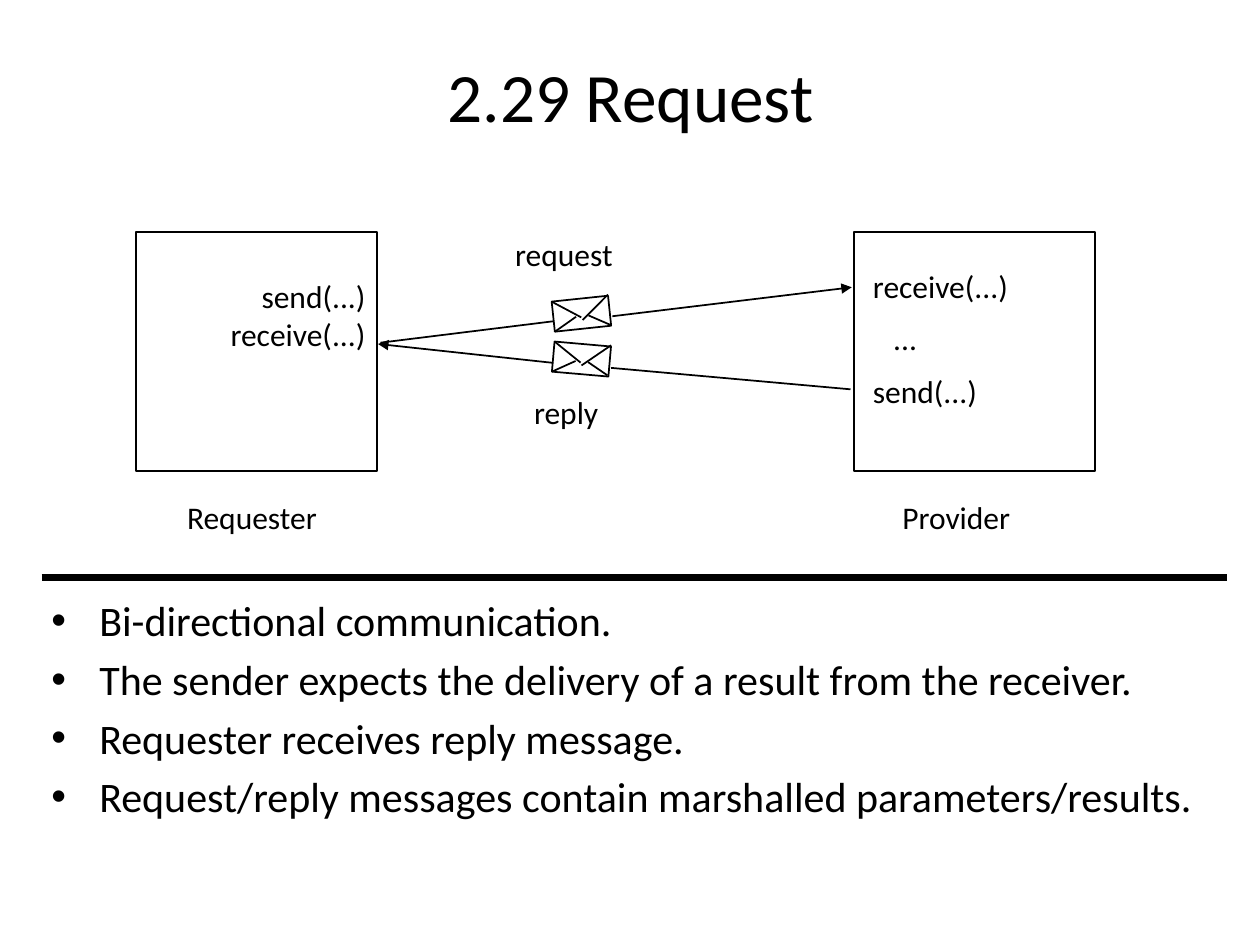
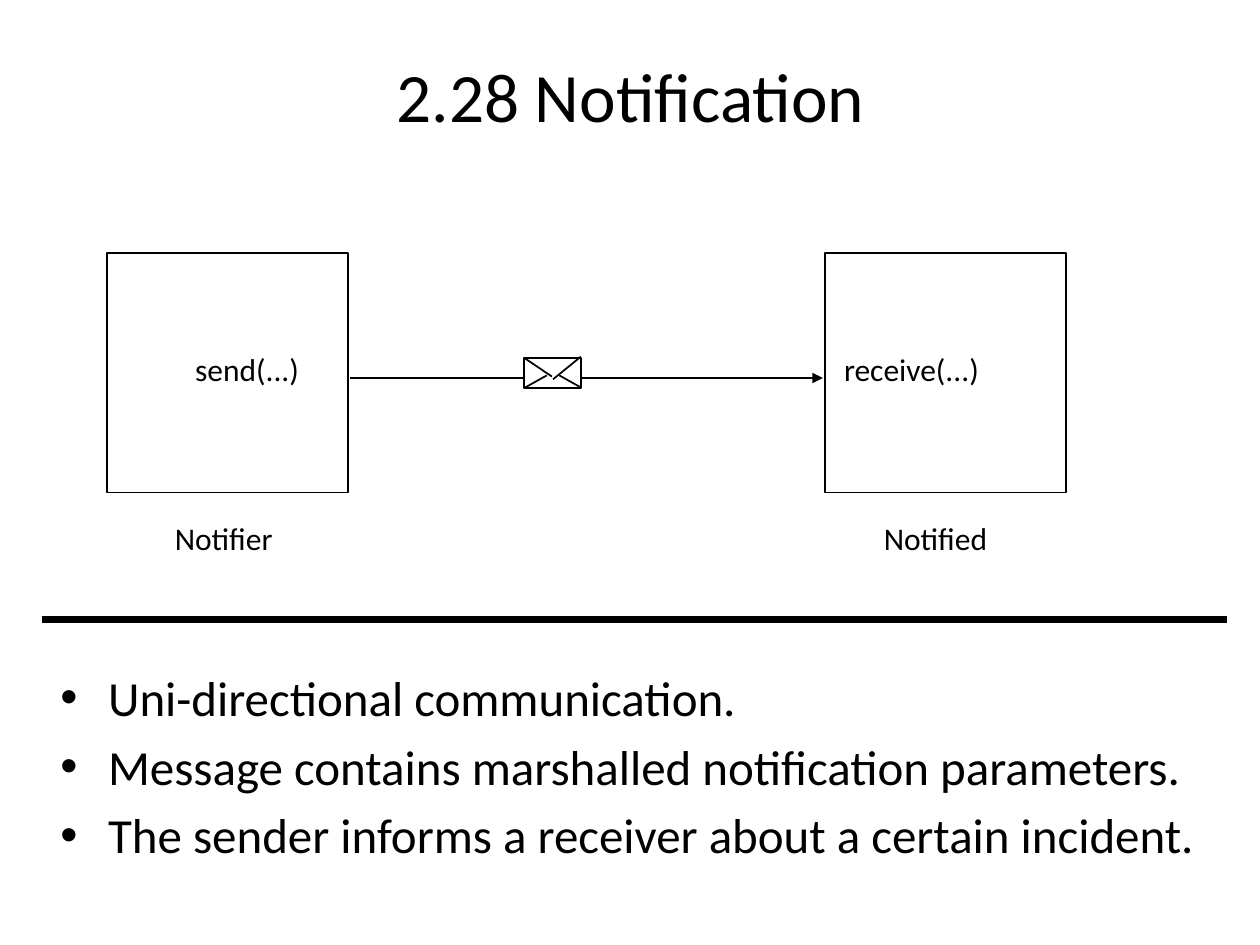
import dataclasses
import math

import lxml.etree
import pptx
import pptx.dml.color
import pptx.enum.shapes
import pptx.enum.text
import pptx.oxml.ns
import pptx.util

ALIGN = pptx.enum.text.PP_ALIGN
ANCHOR = pptx.enum.text.MSO_ANCHOR
AUTOSIZE = pptx.enum.text.MSO_AUTO_SIZE
COLUMNS, ROWS = 100, 75
CELL = pptx.util.Inches(0.1)
PEER_WIDTH, PEER_HEIGHT, PROVIDER_COLUMN = 19.1, 19, 57
LABEL_HEIGHT = 4
CAPTION_ROW = 20.6
ENVELOPE_WIDTH, ENVELOPE_HEIGHT = 4.5, 2.4
ENVELOPE_FOLDS = [
    ((0, 0), (0.49, 0.62)),
    ((0.51, 0.71), (1, -0.04)),
    ((0.4, 0.58), (0, 1)),
    ((0.62, 0.58), (0.98, 0.96)),
]


@dataclasses.dataclass(frozen=True)
class Theme:
    """Colours, font and sizes shared by the slides."""

    ink: pptx.dml.color.RGBColor = pptx.dml.color.RGBColor(0, 0, 0)
    font: str = "Calibri"
    title: float = 39.6
    label: float = 18
    thin: float = 1
    thick: float = 4


THEME = Theme()


@dataclasses.dataclass(frozen=True)
class Box:
    """A region of the slide, measured in grid columns and rows."""

    column: float
    row: float
    width: float
    height: float

    def point(self, column, row):
        """Return the slide position of a grid point inside the box."""
        return round((self.column + column) * CELL), round((self.row + row) * CELL)

    def inner(self, column, row, width, height):
        """Return a smaller box placed relative to this one."""
        return Box(self.column + column, self.row + row, width, height)

    def frame(self):
        """Return left, top, width and height for a shape."""
        return (*self.point(0, 0), round(self.width * CELL), round(self.height * CELL))


def apply_format(target, values):
    """Set each named attribute on the target."""
    for name, value in values.items():
        setattr(target, name, value)


def write(frame, lines, size, align, space=0):
    """Fill a text frame with one formatted paragraph per line and return them."""
    frame.text = "\n".join(lines)
    for paragraph in frame.paragraphs:
        apply_format(paragraph, {"alignment": align, "space_before": pptx.util.Pt(space)})
        for run in paragraph.runs:
            apply_format(run.font, {"name": THEME.font, "size": pptx.util.Pt(size)})
            run.font.color.rgb = THEME.ink
    return frame.paragraphs


def draw_line(slide, start, end, width=THEME.thin, arrow=False):
    """Draw a straight line between two slide positions."""
    line = slide.shapes.add_connector(
        pptx.enum.shapes.MSO_CONNECTOR.STRAIGHT, *start, *end
    )
    line.line.color.rgb = THEME.ink
    line.line.width = pptx.util.Pt(width)
    properties = line._element.spPr
    qn = pptx.oxml.ns.qn
    if arrow:
        lxml.etree.SubElement(
            properties.find(qn("a:ln")), qn("a:tailEnd"), type="triangle"
        )
    lxml.etree.SubElement(properties, qn("a:effectLst"))


def draw_rectangle(slide, box, angle=0):
    """Draw an unfilled outlined rectangle."""
    rectangle = slide.shapes.add_shape(
        pptx.enum.shapes.MSO_SHAPE.RECTANGLE, *box.frame()
    )
    rectangle.rotation = angle
    rectangle.shadow.inherit = False
    rectangle.fill.background()
    rectangle.line.color.rgb = THEME.ink
    rectangle.line.width = pptx.util.Pt(THEME.thin)


def draw_label(slide, box, lines, align=ALIGN.LEFT):
    """Place a small unwrapped label in a box."""
    frame = slide.shapes.add_textbox(*box.frame()).text_frame
    apply_format(frame, {"word_wrap": False, "auto_size": AUTOSIZE.SHAPE_TO_FIT_TEXT})
    write(frame, lines, THEME.label, align)


def draw_envelope(slide, diagram, centre, angle):
    """Draw an envelope turned about its centre."""
    width, height = ENVELOPE_WIDTH, ENVELOPE_HEIGHT
    column, row = centre
    body = diagram.inner(column - width / 2, row - height / 2, width, height)
    draw_rectangle(slide, body, angle)
    cosine, sine = math.cos(math.radians(angle)), math.sin(math.radians(angle))

    def turned(share):
        """Return the slide position of a point on the turned envelope."""
        across, down = (share[0] - 0.5) * width, (share[1] - 0.5) * height
        return diagram.point(
            column + across * cosine - down * sine,
            row + across * sine + down * cosine,
        )

    for start, end in ENVELOPE_FOLDS:
        draw_line(slide, turned(start), turned(end))


def draw_message(slide, diagram, message):
    """Draw an envelope with the line into it and the arrow out of it."""
    draw_envelope(slide, diagram, message["centre"], message["angle"])
    source, entry, leave, target = (diagram.point(*stop) for stop in message["route"])
    draw_line(slide, source, entry)
    draw_line(slide, leave, target, arrow=True)


def draw_diagram(slide, diagram, content):
    """Draw two peers with their captions, calls and messages."""
    for column in (0, PROVIDER_COLUMN):
        draw_rectangle(slide, diagram.inner(column, 0, PEER_WIDTH, PEER_HEIGHT))
    for caption, column, width in content["captions"]:
        caption_box = diagram.inner(column, CAPTION_ROW, width, LABEL_HEIGHT)
        draw_label(slide, caption_box, [caption], ALIGN.CENTER)
    for lines, column, row, width, align in content["labels"]:
        label_box = diagram.inner(column, row, width, LABEL_HEIGHT * len(lines))
        draw_label(slide, label_box, lines, align)
    for message in content["messages"]:
        draw_message(slide, diagram, message)


def draw_title(slide, page, title):
    """Move and format the title placeholder."""
    placeholder = slide.shapes.title
    frame = page.inner(0.8, 4.2, 98.5, 6.7).frame()
    apply_format(placeholder, dict(zip(("left", "top", "width", "height"), frame)))
    apply_format(
        placeholder.text_frame,
        {"vertical_anchor": ANCHOR.MIDDLE, "auto_size": AUTOSIZE.NONE},
    )
    write(placeholder.text_frame, [title], THEME.title, ALIGN.CENTER)


def draw_points(slide, box, points, size):
    """Write the bulleted points with a hanging indent."""
    frame = slide.shapes.add_textbox(*box.frame()).text_frame
    frame.word_wrap = True
    indent = pptx.util.Inches(0.38)
    qn = pptx.oxml.ns.qn
    for paragraph in write(frame, points, size, ALIGN.LEFT, space=size * 0.2):
        properties = paragraph._p.get_or_add_pPr()
        properties.set("marL", str(indent))
        properties.set("indent", str(-indent))
        lxml.etree.SubElement(properties, qn("a:buFont"), typeface="Arial")
        lxml.etree.SubElement(properties, qn("a:buChar"), char="•")


def build_pattern_slide(deck, content):
    """Add one slide with a title, a diagram, a rule and points."""
    slide = deck.slides.add_slide(deck.slide_layouts.get_by_name("Title Only"))
    page = Box(0, 0, COLUMNS, ROWS)
    draw_title(slide, page, content["title"])
    draw_diagram(slide, page.inner(*content["diagram"]), content)
    rule_row = content["rule_row"]
    draw_line(
        slide, page.point(3.3, rule_row), page.point(97.4, rule_row), THEME.thick
    )
    draw_points(
        slide, page.inner(*content["points_box"]), content["points"], content["size"]
    )


REQUEST = {
    "title": "2.29 Request",
    "diagram": (10.8, 18.4, 76.1, 19),
    "captions": [("Requester", 3, 12.4), ("Provider", 59.8, 10.6)],
    "labels": [
        (["send(...)", "receive(...)"], 6.4, 3.1, 12.8, ALIGN.RIGHT),
        (["receive(...)"], 57.5, 2.3, 12.8, ALIGN.LEFT),
        (["..."], 59.1, 6.4, 3.9, ALIGN.LEFT),
        (["send(...)"], 57.5, 10.6, 10.3, ALIGN.LEFT),
        (["request"], 29.1, -0.2, 9.8, ALIGN.LEFT),
        (["reply"], 30.6, 12.3, 7.2, ALIGN.LEFT),
    ],
    "messages": [
        {
            "centre": (35.35, 6.5),
            "angle": -6,
            "route": [(19.4, 8.8), (33.1, 7.1), (37.8, 6.7), (56.8, 4.4)],
        },
        {
            "centre": (35.35, 10.1),
            "angle": 5,
            "route": [(56.7, 12.5), (37.7, 10.8), (33.1, 10.4), (19.2, 8.9)],
        },
    ],
    "rule_row": 45.8,
    "points_box": (3.1, 46.7, 93.8, 22.5),
    "points": [
        "Bi-directional communication.",
        "The sender expects the delivery of a result from the receiver.",
        "Requester receives reply message.",
        "Request/reply messages contain marshalled parameters/results.",
    ],
    "size": 24,
}

NOTIFICATION = {
    "title": "2.28 Notification",
    "diagram": (8.5, 20.1, 76.1, 19),
    "captions": [("Notifier", 4.3, 9.9), ("Notified", 60.6, 10.3)],
    "labels": [
        (["send(...)"], 6, 7.2, 10.3, ALIGN.LEFT),
        (["receive(...)"], 57.5, 7.2, 12.8, ALIGN.LEFT),
    ],
    "messages": [
        {
            "centre": (35.35, 9.5),
            "angle": 0,
            "route": [(19.3, 9.9), (33, 9.9), (37.7, 9.9), (56.8, 9.9)],
        },
    ],
    "rule_row": 49.2,
    "points_box": (3.8, 52.5, 93.1, 16.7),
    "points": [
        "Uni-directional communication.",
        "Message contains marshalled notification parameters.",
        "The sender informs a receiver about a certain incident.",
    ],
    "size": 28,
}


def main():
    """Build and save the deck."""
    deck = pptx.Presentation()
    apply_format(deck, {"slide_width": COLUMNS * CELL, "slide_height": ROWS * CELL})
    for content in (REQUEST, NOTIFICATION):
        build_pattern_slide(deck, content)
    deck.save("out.pptx")


if __name__ == "__main__":
    main()
